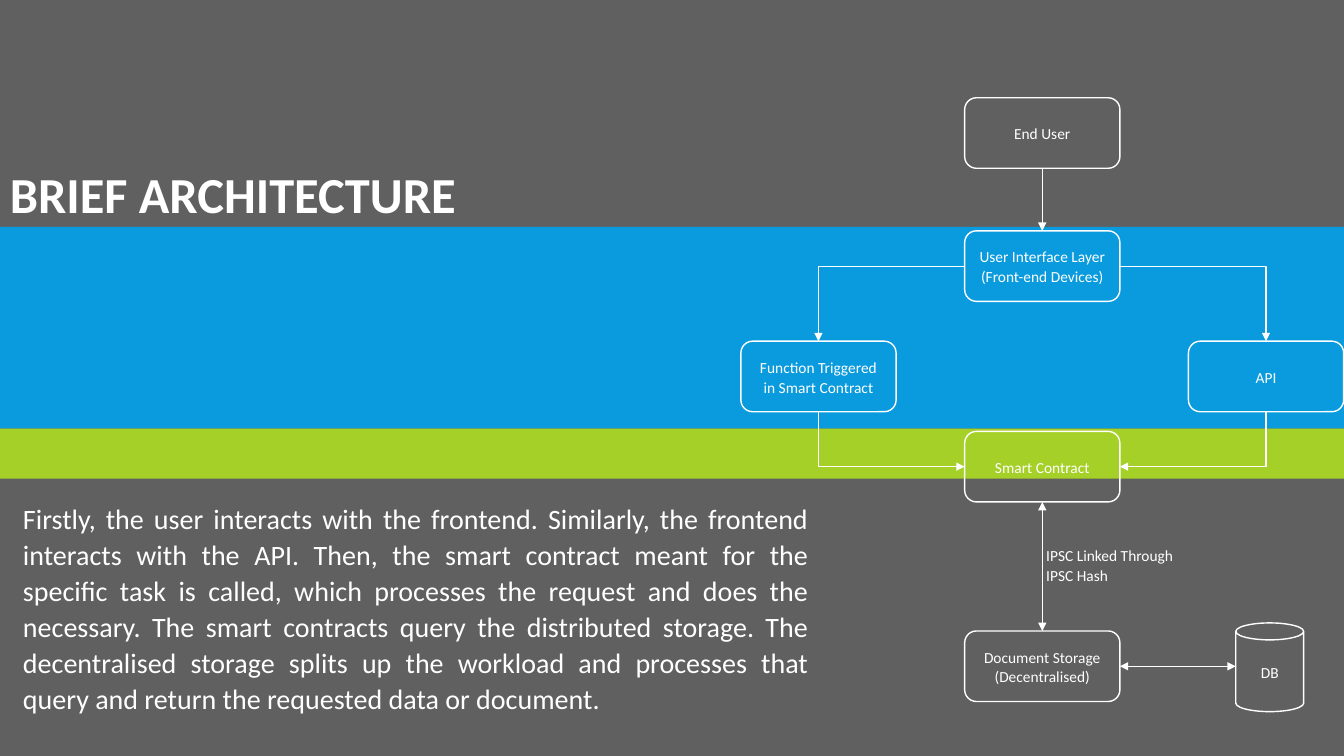
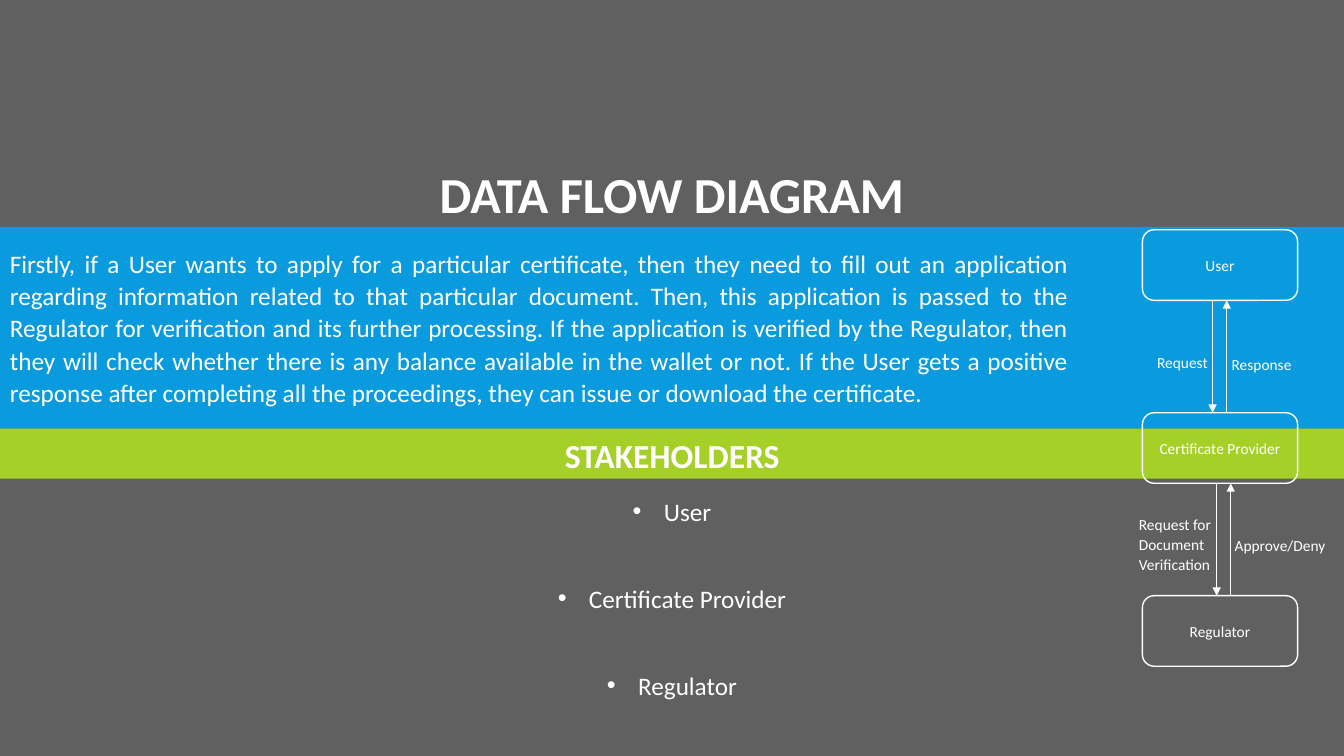
from lxml import etree
from pptx import Presentation
from pptx.dml.color import RGBColor
from pptx.enum.shapes import MSO_CONNECTOR, MSO_SHAPE
from pptx.enum.text import MSO_ANCHOR, PP_ALIGN
from pptx.oxml.ns import qn
from pptx.util import Inches, Pt

GREY = RGBColor(0x60, 0x60, 0x60)
BLUE = RGBColor(0x09, 0x9B, 0xDD)
GREEN = RGBColor(0xA5, 0xD0, 0x28)
WHITE = RGBColor(0xFF, 0xFF, 0xFF)

LEFT, CENTER, JUSTIFY = PP_ALIGN.LEFT, PP_ALIGN.CENTER, PP_ALIGN.JUSTIFY
MIDDLE = MSO_ANCHOR.MIDDLE
STRAIGHT, ELBOW = MSO_CONNECTOR.STRAIGHT, MSO_CONNECTOR.ELBOW
RECTANGLE, CAN = MSO_SHAPE.RECTANGLE, MSO_SHAPE.CAN
PROCESS = MSO_SHAPE.FLOWCHART_ALTERNATE_PROCESS
TOP_SIDE, LEFT_SIDE, BOTTOM_SIDE, RIGHT_SIDE = range(4)

COLUMNS, ROWS = 40, 30
BOX_COLUMNS, BOX_ROWS = 4.62, 2.8


class Deck:
    """Style and current page; lengths are grid columns and rows."""

    font = "Calibri"
    label_size = 11
    line_spacing = 1.07
    space_after = 8

    def __init__(self):
        self.deck = Presentation()
        self.deck.slide_width = Inches(13.33)
        self.deck.slide_height = Inches(7.5)
        fill = self.deck.slide_master.background.fill
        fill.solid()
        fill.fore_color.rgb = GREY
        self.page = None

    def x(self, columns):
        return round(self.deck.slide_width * columns / COLUMNS)

    def y(self, rows):
        return round(self.deck.slide_height * rows / ROWS)

    def frame(self, column, row, columns, rows):
        return self.x(column), self.y(row), self.x(columns), self.y(rows)

    def new_page(self, title, align):
        self.page = self.deck.slides.add_slide(self.deck.slide_layouts[6])
        self.band(17, 2, GREEN)
        self.band(9, 8, BLUE)
        self.heading(title, 0, 6.28, COLUMNS, 2.84, 36, align)

    def band(self, row, rows, color):
        band = self.page.shapes.add_shape(RECTANGLE, *self.frame(0, row, COLUMNS, rows))
        band.shadow.inherit = False
        band.fill.solid()
        band.fill.fore_color.rgb = color
        band.line.fill.background()

    def add_span(self, para, text, size, align, bold=False):
        para.alignment = align
        span = para.add_run()
        span.text = text
        span.font.name = self.font
        span.font.size = Pt(size)
        span.font.bold = bold
        span.font.color.rgb = WHITE

    def space(self, para, after=space_after):
        para.line_spacing = self.line_spacing
        para.space_after = Pt(after)

    def text_frame(self, column, row, columns, rows):
        place = self.frame(column, row, columns, rows)
        frame = self.page.shapes.add_textbox(*place).text_frame
        frame.word_wrap = True
        return frame

    def heading(self, text, column, row, columns, rows, size, align):
        para = self.text_frame(column, row, columns, rows).paragraphs[0]
        self.add_span(para, text, size, align, bold=True)

    def body(self, text, column, row, columns, rows, size=label_size, align=JUSTIFY):
        para = self.text_frame(column, row, columns, rows).paragraphs[0]
        self.space(para)
        self.add_span(para, text, size, align)

    def label(self, text, column, row, columns, rows):
        self.body(text, column, row, columns, rows, align=LEFT)

    def bullets(self, items, column, row, columns, rows, size, gap):
        frame = self.text_frame(column, row, columns, rows)
        for index, item in enumerate(items):
            para = frame.add_paragraph() if index else frame.paragraphs[0]
            self.space(para, gap)
            self.add_span(para, item, size, CENTER)
            props = para._p.get_or_add_pPr()
            props.set("marL", str(Inches(0.31)))
            props.set("indent", str(-Inches(0.31)))
            etree.SubElement(props, qn("a:buFont")).set("typeface", "Arial")
            etree.SubElement(props, qn("a:buChar")).set("char", "•")

    def box(self, text, column, row, columns=BOX_COLUMNS, rows=BOX_ROWS, kind=PROCESS):
        box = self.page.shapes.add_shape(kind, *self.frame(column, row, columns, rows))
        box.shadow.inherit = False
        box.fill.background()
        box.line.color.rgb = WHITE
        box.line.width = Pt(1)
        box.text_frame.word_wrap = True
        box.text_frame.vertical_anchor = MIDDLE
        para = box.text_frame.paragraphs[0]
        self.space(para)
        self.add_span(para, text, self.label_size, CENTER)
        return box

    def arrow(self, start, end, kind=STRAIGHT, heads=("tailEnd",)):
        """Draw from start to end, both (column, row); tailEnd is the tip at end."""
        points = [f(n) for point in (start, end) for f, n in zip((self.x, self.y), point)]
        arrow = self.page.shapes.add_connector(kind, *points)
        arrow.line.color.rgb = WHITE
        arrow.line.width = Pt(0.75)
        props = arrow._element.spPr
        for head in heads:
            etree.SubElement(props.find(qn("a:ln")), qn(f"a:{head}")).set("type", "triangle")
        etree.SubElement(props, qn("a:effectLst"))
        return arrow

    def link(self, first, first_side, second, second_side, heads=("tailEnd",)):
        """Join two boxes by a straight arrow that stays attached."""
        arrow = self.arrow((0, 0), (0, 0), heads=heads)
        arrow.begin_connect(first, first_side)
        arrow.end_connect(second, second_side)

    def corner(self, start, end, head):
        """Draw an arrow with one bend, level first."""
        arrow = self.arrow(start, end, ELBOW, (head,))
        arrow._element.spPr.find(qn("a:prstGeom")).set("prst", "bentConnector2")


def architecture(deck):
    deck.new_page("BRIEF ARCHITECTURE", JUSTIFY)
    middle, reach = 31.02, 6.66
    half_width, half_height = BOX_COLUMNS / 2, BOX_ROWS / 2
    left = middle - half_width
    interface_row, branch_row, contract_row, storage_row = 9.16, 13.54, 17.12, 25.04

    storage = deck.box("Document Storage (Decentralised)", left, storage_row)
    database = deck.box("DB", 36.78, 24.72, 2.02, 3.52, CAN)
    contract = deck.box("Smart Contract", left, contract_row)
    user = deck.box("End User", left, 3.88)
    interface = deck.box("User Interface Layer (Front-end Devices)", left, interface_row)

    for side, text in ((-1, "Function Triggered in Smart Contract"), (1, "API")):
        branch = middle + side * reach
        edge = middle + side * half_width
        deck.box(text, branch - half_width, branch_row)
        deck.corner((edge, interface_row + half_height), (branch, branch_row), "tailEnd")
        deck.corner((edge, contract_row + half_height),
                    (branch, branch_row + BOX_ROWS), "headEnd")

    both = ("headEnd", "tailEnd")
    deck.link(user, BOTTOM_SIDE, interface, TOP_SIDE)
    deck.link(contract, BOTTOM_SIDE, storage, TOP_SIDE, both)
    storage_middle = storage_row + half_height
    deck.arrow((36.78, storage_middle), (middle + half_width, storage_middle), heads=both)
    deck.label("IPSC Linked Through IPSC Hash", 30.84, 21.44, 4.5, 2.68)
    deck.body(
        "Firstly, the user interacts with the frontend. Similarly, the frontend "
        "interacts with the API. Then, the smart contract meant for the specific task "
        "is called, which processes the request and does the necessary. The smart "
        "contracts query the distributed storage. The decentralised storage splits up "
        "the workload and processes that query and return the requested data or document.",
        0.39, 19.6, 23.97, 9, 20)


def data_flow(deck):
    deck.new_page("DATA FLOW DIAGRAM", CENTER)
    deck.body(
        "Firstly, if a User wants to apply for a particular certificate, then they need "
        "to fill out an application regarding information related to that particular "
        "document. Then, this application is passed to the Regulator for verification "
        "and its further processing. If the application is verified by the Regulator, "
        "then they will check whether there is any balance available in the wallet or "
        "not. If the User gets a positive response after completing all the "
        "proceedings, they can issue or download the certificate.",
        0, 9.56, 32.1, 6.84, 18)

    stakeholders = ("User", "Certificate Provider", "Regulator")
    first_row, step = 9.12, 7.26
    for index, name in enumerate(stakeholders):
        deck.box(name, 34, first_row + index * step)
    for index, down in enumerate((36.09, 36.21)):
        up = down + 0.42
        upper = first_row + index * step + BOX_ROWS
        lower = first_row + (index + 1) * step
        deck.arrow((down, upper), (down, lower))
        deck.arrow((up, lower), (up, upper))

    deck.label("Request", 34.14, 13.76, 2.22, 1.2)
    deck.label("Response", 36.36, 13.84, 2.55, 1.2)
    deck.label("Request for Document Verification", 33.6, 20.2, 3.09, 2.8)
    deck.label("Approve/Deny", 36.45, 21.04, 3.54, 1.12)

    deck.heading("STAKEHOLDERS", 9.96, 17.08, 20.1, 2, 24, CENTER)
    deck.bullets(stakeholders, 0, 19.4, COLUMNS, 8.64, 18, 39)


def main():
    deck = Deck()
    architecture(deck)
    data_flow(deck)
    deck.deck.save("out.pptx")


if __name__ == "__main__":
    main()
